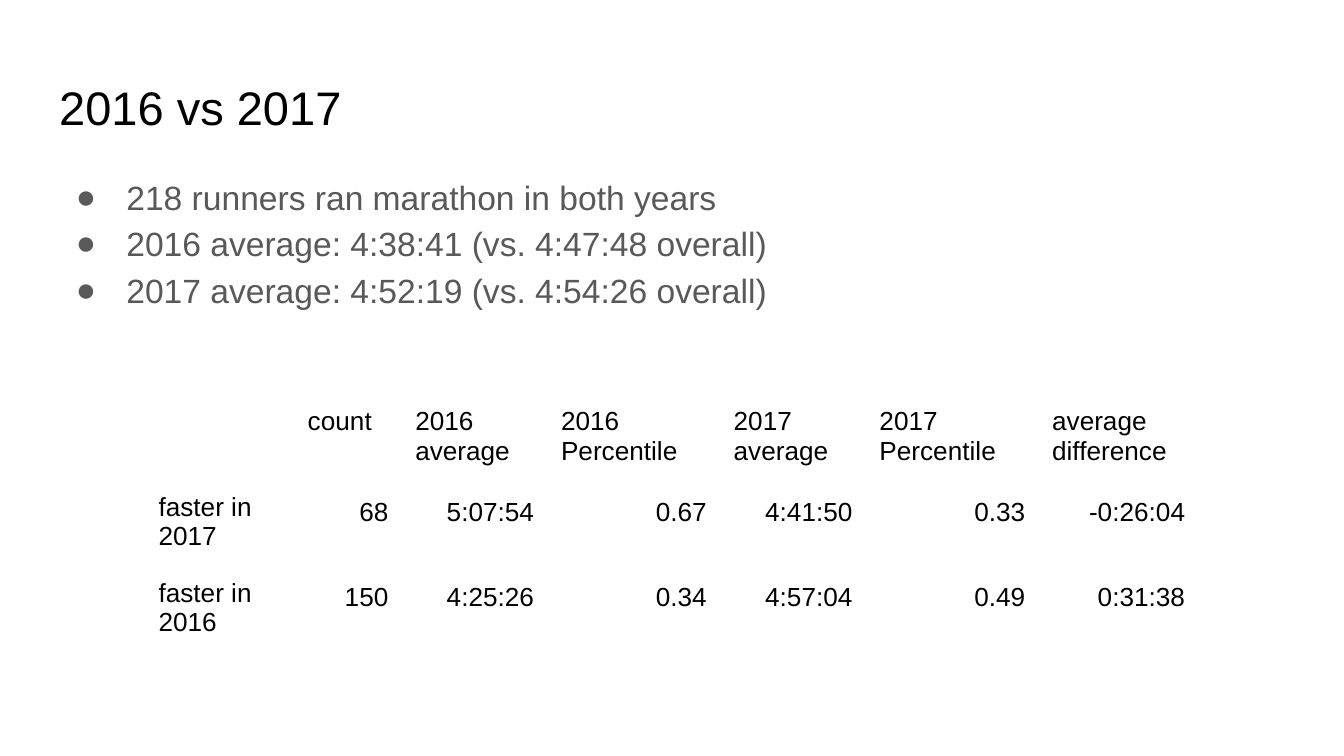
from lxml import etree
from pptx import Presentation
from pptx.dml.color import RGBColor
from pptx.enum.text import MSO_ANCHOR, MSO_AUTO_SIZE, PP_ALIGN
from pptx.oxml.ns import qn
from pptx.util import Pt

PX = 4572
FONT = "Arial"
BLACK = RGBColor(0x00, 0x00, 0x00)
GRAY = RGBColor(0x59, 0x59, 0x59)
LEFT = PP_ALIGN.LEFT
RIGHT = PP_ALIGN.RIGHT
TOP = MSO_ANCHOR.TOP
NO_AUTOFIT = MSO_AUTO_SIZE.NONE
INSET = 20
LINE_SPACING = 1.15

TITLE = "2016 vs 2017"
FINDINGS = [
    "218 runners ran marathon in both years",
    "2016 average: 4:38:41 (vs. 4:47:48 overall)",
    "2017 average: 4:52:19 (vs. 4:54:26 overall)",
]
COLUMN_WIDTHS = [222, 160, 217, 257, 217, 257, 238]
ROW_HEIGHT = 42
RESULTS = [
    ["", "count", "2016 average", "2016 Percentile", "2017 average",
     "2017 Percentile", "average difference"],
    ["faster in 2017", "68", "5:07:54", "0.67", "4:41:50", "0.33", "-0:26:04"],
    ["faster in 2016", "150", "4:25:26", "0.34", "4:57:04", "0.49", "0:31:38"],
]


def px(length):
    return length * PX


def set_insets(holder):
    holder.margin_left = holder.margin_right = px(INSET)
    holder.margin_top = holder.margin_bottom = px(INSET)
    holder.vertical_anchor = TOP


def format_para(para, size, color, align=LEFT, spacing=1.0):
    para.alignment = align
    para.line_spacing = spacing
    para.space_before = para.space_after = Pt(0)
    for span in para.runs:
        span.font.name = FONT
        span.font.size = Pt(size)
        span.font.color.rgb = color


def add_bullet(para, color):
    properties = para._p.get_or_add_pPr()
    properties.set("marL", str(px(100)))
    properties.set("indent", str(px(-75)))
    bullet_color = etree.SubElement(properties, qn("a:buClr"))
    etree.SubElement(bullet_color, qn("a:srgbClr"), val=str(color))
    etree.SubElement(properties, qn("a:buFont"), typeface=FONT)
    etree.SubElement(properties, qn("a:buChar"), char="●")


def fill_placeholder(box, left, top, width, height, text):
    box.left, box.top = px(left), px(top)
    box.width, box.height = px(width), px(height)
    frame = box.text_frame
    frame.text = text
    frame.word_wrap = True
    frame.auto_size = NO_AUTOFIT
    set_insets(frame)
    return frame.paragraphs


def add_title(page):
    for para in fill_placeholder(page.shapes.title, 68, 97, 1864, 125, TITLE):
        format_para(para, 25.2, BLACK)


def add_findings(page):
    box = page.placeholders[1]
    for para in fill_placeholder(box, 68, 234, 1864, 748, "\n".join(FINDINGS)):
        format_para(para, 18, GRAY, spacing=LINE_SPACING)
        add_bullet(para, GRAY)


def add_results(page):
    rows, columns = len(RESULTS), len(COLUMN_WIDTHS)
    table = page.shapes.add_table(
        rows, columns, px(216), px(586),
        px(sum(COLUMN_WIDTHS)), px(ROW_HEIGHT * rows)).table
    table.first_row = False
    table.horz_banding = False
    for column, width in zip(table.columns, COLUMN_WIDTHS):
        column.width = px(width)
    for row_index, values in enumerate(RESULTS):
        for column_index, value in enumerate(values):
            cell = table.cell(row_index, column_index)
            cell.text = value
            cell.fill.background()
            set_insets(cell)
            is_value = row_index > 0 and column_index > 0
            format_para(cell.text_frame.paragraphs[0], 14, BLACK,
                        RIGHT if is_value else LEFT,
                        LINE_SPACING if is_value else 1.0)


def main():
    deck = Presentation()
    deck.slide_width, deck.slide_height = px(2000), px(1125)
    page = deck.slides.add_slide(deck.slide_layouts[1])
    add_title(page)
    add_findings(page)
    add_results(page)
    deck.save("out.pptx")


if __name__ == "__main__":
    main()
